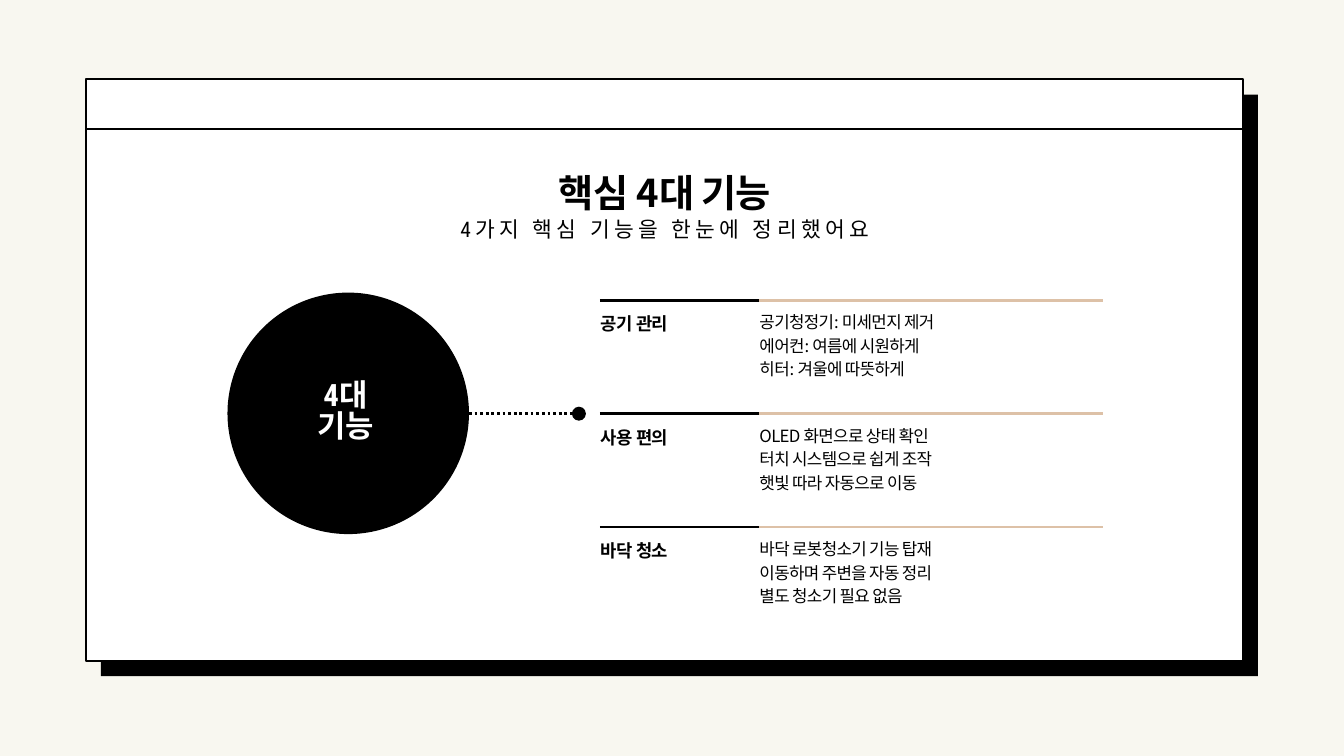
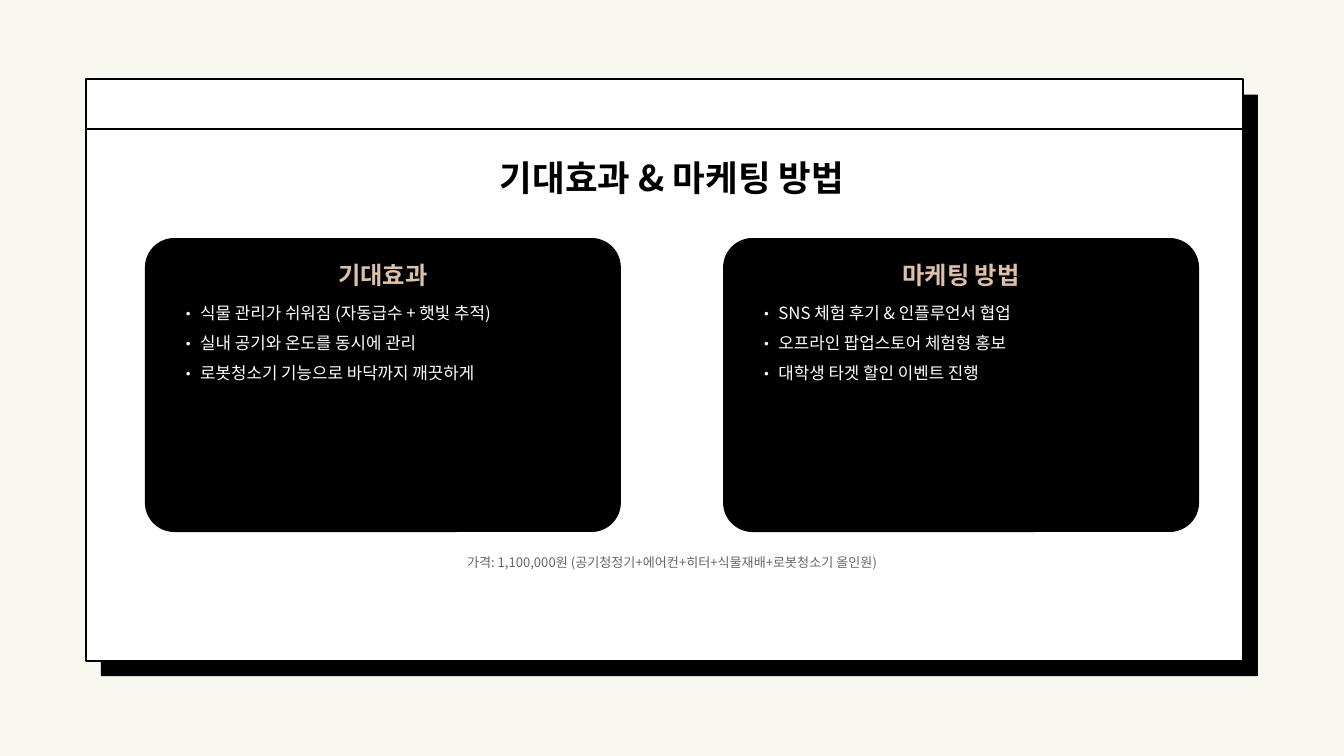
from lxml.etree import SubElement
from pptx import Presentation
from pptx.dml.color import RGBColor
from pptx.enum.dml import MSO_LINE as Dash
from pptx.enum.shapes import MSO_CONNECTOR as Conn, MSO_SHAPE as Kind
from pptx.enum.text import MSO_ANCHOR as Anchor, MSO_AUTO_SIZE as Fit, PP_ALIGN as Align
from pptx.oxml.ns import qn
from pptx.util import Emu, Pt

PX = 9525
INK, PAPER, CREAM, TAN, GRAY = "000000", "FFFFFF", "F8F7F0", "DDC1A7", "666666"
NOTO, ROBOTO = "Noto Sans CJK SC", "Roboto Condensed"


def px(n):
    return Emu(n * PX)


def color(code):
    return RGBColor.from_string(code)


class Deck:
    def __init__(self):
        self.deck = Presentation()
        self.deck.slide_width, self.deck.slide_height = px(1920), px(1080)
        self.slide = None

    def page(self):
        self.slide = self.deck.slides.add_slide(self.deck.slide_layouts[4])
        back = self.slide.background.fill
        back.solid()
        back.fore_color.rgb = color(CREAM)
        self.shape(Kind.RECTANGLE, 144, 135, 1653, 831, INK)
        self.shape(Kind.RECTANGLE, 123, 113, 1653, 831, PAPER, INK)
        self.rule(123, 1776, 184, INK, 2.25)

    def shape(self, kind, x, y, w, h, fill, edge=None):
        item = self.slide.shapes.add_shape(kind, px(x), px(y), px(w), px(h))
        item.shadow.inherit = False
        item.fill.solid()
        item.fill.fore_color.rgb = color(fill)
        if edge:
            item.line.color.rgb = color(edge)
            item.line.width = Pt(2.25)
        else:
            item.line.fill.background()
        return item

    def rule(self, x, end, y, ink, width=3, dot=False):
        item = self.slide.shapes.add_connector(Conn.STRAIGHT, px(x), px(y), px(end), px(y))
        item.line.color.rgb = color(ink)
        item.line.width = Pt(width)
        if dot:
            item.line.dash_style = Dash.ROUND_DOT
            SubElement(item.line._ln, qn("a:tailEnd"), type="oval", w="lg", len="lg")
        SubElement(item._element.spPr, qn("a:effectLst"))

    def text(self, lines, x, y, w, h, size, lead, ink=INK, font=NOTO,
             bold=False, mid=False, gap=0, slot=None, dots=False):
        if slot is None:
            box = self.slide.shapes.add_textbox(px(x), px(y), px(w), px(h))
        else:
            box = self.slide.placeholders[slot]
            box.left, box.top, box.width, box.height = px(x), px(y), px(w), px(h)
            node = box._element
            node.getparent().append(node)
        frame = box.text_frame
        frame.word_wrap = True
        frame.auto_size = Fit.NONE
        frame.vertical_anchor = Anchor.TOP
        frame.margin_left = frame.margin_top = frame.margin_right = frame.margin_bottom = 0
        for i, line in enumerate(lines):
            para = frame.add_paragraph() if i else frame.paragraphs[0]
            para.alignment = Align.CENTER if mid else Align.LEFT
            para.line_spacing = Pt(lead)
            para.space_before = para.space_after = Pt(0)
            self.mark(para, dots)
            self.run(para, line, size, ink, font, bold, gap)

    def mark(self, para, dots):
        props = para._p.get_or_add_pPr()
        inset = px(29) if dots else 0
        props.set("marL", str(inset))
        props.set("indent", str(-inset))
        if dots:
            SubElement(props, qn("a:buFont"), typeface=NOTO)
            SubElement(props, qn("a:buChar"), char="•")
        else:
            SubElement(props, qn("a:buNone"))

    def run(self, para, line, size, ink, name, bold, gap):
        run = para.add_run()
        run.text = line
        font = run.font
        font.size, font.bold, font.name = Pt(size), bold, name
        font.color.rgb = color(ink)
        props = run._r.get_or_add_rPr()
        SubElement(props, qn("a:ea"), typeface=name)
        if gap:
            props.set("spc", str(round(gap * 100)))

    def title(self, line, x, y, w, h, size, lead, gap=0):
        self.text([line], x, y, w, h, size, lead, bold=True, mid=True, gap=gap, slot=0)

    def save(self):
        self.deck.save("out.pptx")


def core(deck):
    deck.page()
    deck.title("핵심 4대 기능", 648, 231, 604, 73, 41, 57.4, -0.8)
    deck.text(["4가지 핵심 기능을 한눈에 정리했어요"], 648, 302, 604, 83, 23, 32.2,
              font=ROBOTO, mid=True, gap=4.6, slot=1)
    deck.shape(Kind.OVAL, 325, 418, 345, 345, INK)
    deck.rule(670, 827, 591, INK, dot=True)
    deck.text(["4대", "기능"], 369, 546, 249, 88, 33, 33, PAPER, ROBOTO, bold=True, mid=True)
    groups = [
        ("공기 관리", ["공기청정기: 미세먼지 제거", "에어컨: 여름에 시원하게", "히터: 겨울에 따뜻하게"]),
        ("사용 편의", ["OLED 화면으로 상태 확인", "터치 시스템으로 쉽게 조작", "햇빛 따라 자동으로 이동"]),
        ("바닥 청소", ["바닥 로봇청소기 기능 탑재", "이동하며 주변을 자동 정리", "별도 청소기 필요 없음"]),
    ]
    for i, (name, lines) in enumerate(groups):
        y = 429 + 162 * i
        deck.rule(1085, 1576, y, TAN)
        deck.rule(857, 1085, y, INK)
        deck.text([name], 858, y + 13, 228, 33, 19, 26.6, bold=True, gap=-0.4)
        deck.text(lines, 1085, y + 12, 510, 99, 18, 25.2, gap=-0.7, slot=2 + i)


def market(deck):
    deck.page()
    deck.title("기대효과 & 마케팅 방법", 560, 213, 800, 67, 38, 53.2)
    cards = [
        ("기대효과", ["식물 관리가 쉬워짐 (자동급수 + 햇빛 추적)", "실내 공기와 온도를 동시에 관리",
                  "로봇청소기 기능으로 바닥까지 깨끗하게"]),
        ("마케팅 방법", ["SNS 체험 후기 & 인플루언서 협업", "오프라인 팝업스토어 체험형 홍보",
                    "대학생 타겟 할인 이벤트 진행"]),
    ]
    for i, (name, lines) in enumerate(cards):
        x = 207 + 826 * i
        card = deck.shape(Kind.ROUNDED_RECTANGLE, x, 340, 680, 420, INK)
        card.adjustments[0] = 0.1
        deck.text([name], x + 40, 365, 600, 46, 26, 36.4, TAN, bold=True, mid=True, slot=1 + 2 * i)
        deck.text(lines, x + 50, 418, 580, 127, 18, 32.4, PAPER, slot=2 + 2 * i, dots=True)
    deck.text(["가격: 1,100,000원 (공기청정기+에어컨+히터+식물재배+로봇청소기 올인원)"],
              460, 788, 1000, 24, 14, 19.6, GRAY, mid=True)


def main():
    deck = Deck()
    core(deck)
    market(deck)
    deck.save()


if __name__ == "__main__":
    main()
